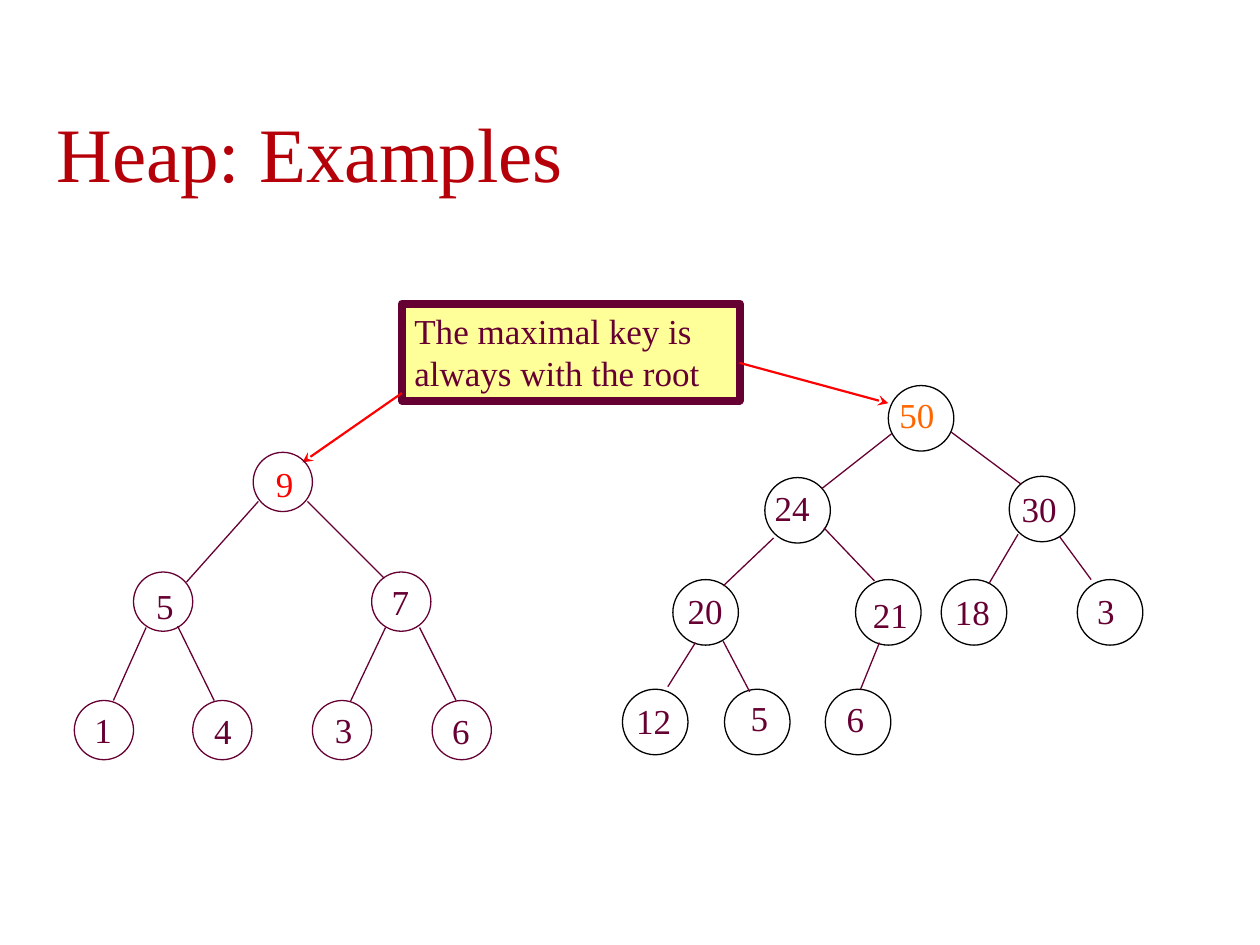
from dataclasses import dataclass

import pptx
import pptx.dml.color
import pptx.enum.shapes
import pptx.enum.text
import pptx.oxml
import pptx.oxml.ns
import pptx.util

PX = 9144
ALIGN = pptx.enum.text.PP_ALIGN
SHAPE = pptx.enum.shapes.MSO_SHAPE


@dataclass(frozen=True)
class Theme:
    """Colours, font and sizes of the slide."""
    font: str = "Times New Roman"
    title: str = "B60009"
    ink: str = "660033"
    note: str = "FFFF99"
    red: str = "FF0000"
    orange: str = "FF6600"
    black: str = "000000"
    title_pt: float = 44
    body_pt: float = 20
    thin_pt: float = 0.75
    arrow_pt: float = 1.25
    frame_pt: float = 4.5


THEME = Theme()

LEFT_NODES = [
    (142, 0, "9", 8, 3, 55, THEME.red),
    (47, 95, "5", 8, 5, 55, THEME.ink),
    (236, 95, "7", 6, 2, 55, THEME.ink),
    (0, 197, "1", 6, 1, 55, THEME.ink),
    (94, 197, "4", 7, 2, 55, THEME.ink),
    (189, 197, "3", 8, 1, 55, THEME.ink),
    (284, 197, "6", 6, 2, 55, THEME.ink),
]
LEFT_EDGES = [
    (146, 39, 89, 103), (185, 39, 246, 100),
    (57, 139, 31, 197), (82, 138, 111, 197),
    (247, 139, 219, 198), (274, 139, 303, 197),
]
RIGHT_NODES = [
    (211, 0, "50", -1, 1, 65, THEME.orange),
    (113, 73, "24", -2, 2, 76, THEME.ink),
    (307, 72, "30", 0, 4, 88, THEME.ink),
    (40, 154, "20", 2, 3, 63, THEME.ink),
    (185, 154, "21", 4, 6, 71, THEME.ink),
    (253, 154, "18", 1, 4, 64, THEME.ink),
    (361, 154, "3", 6, 3, 58, THEME.ink),
    (0, 241, "12", 1, 3, 55, THEME.ink),
    (81, 241, "5", 11, 1, 52, THEME.ink),
    (161, 241, "6", 7, 2, 31, THEME.ink),
]
RIGHT_EDGES = [
    (214, 38, 158, 82), (261, 37, 316, 78),
    (120, 121, 80, 159), (160, 113, 200, 155),
    (314, 118, 291, 157), (347, 120, 372, 154),
    (58, 204, 36, 239), (80, 203, 101, 243), (204, 204, 189, 241),
]


def emu(*lengths):
    """Turn px lengths into EMU."""
    return [pptx.util.Emu(n * PX) for n in lengths]


def rgb(value):
    """Turn a hex string into a colour."""
    return pptx.dml.color.RGBColor.from_string(value)


def write(sp, text, size, color, align=ALIGN.LEFT, anchor=pptx.enum.text.MSO_ANCHOR.TOP):
    """Set the text of a shape in the theme font."""
    tf = sp.text_frame
    tf.word_wrap = True
    tf.vertical_anchor = anchor
    tf.text = text
    p = tf.paragraphs[0]
    p.alignment = align
    r = p.runs[0]
    r.font.name = THEME.font
    r.font.size = pptx.util.Pt(size)
    r.font.color.rgb = rgb(color)


def add_outline(s, kind, box, color, width, fill=None):
    """Add a preset shape with an outline and an optional fill."""
    sp = s.shapes.add_shape(kind, *emu(*box))
    sp.shadow.inherit = False
    if fill:
        sp.fill.solid()
        sp.fill.fore_color.rgb = rgb(fill)
    else:
        sp.fill.background()
    sp.line.color.rgb = rgb(color)
    sp.line.width = pptx.util.Pt(width)
    return sp


def add_line(s, ends, color, width, arrow=False):
    """Add a straight line, with a stealth arrowhead if asked."""
    cx = s.shapes.add_connector(pptx.enum.shapes.MSO_CONNECTOR.STRAIGHT, *emu(*ends))
    cx.line.color.rgb = rgb(color)
    cx.line.width = pptx.util.Pt(width)
    if arrow:
        tail = pptx.oxml.parse_xml(f'<a:tailEnd {pptx.oxml.ns.nsdecls("a")} type="stealth"/>')
        cx.line._get_or_add_ln().append(tail)
    effects = pptx.oxml.parse_xml(f'<a:effectLst {pptx.oxml.ns.nsdecls("a")}/>')
    cx._element.spPr.append(effects)


def add_title(s, box):
    """Place the slide title in its box."""
    sp = s.shapes.add_textbox(*emu(*box))
    write(sp, "Heap: Examples", THEME.title_pt, THEME.title,
          anchor=pptx.enum.text.MSO_ANCHOR.BOTTOM)


def add_callout(s, box):
    """Place the note in its box, with an arrow to each root."""
    x, y, w, h = box
    sp = add_outline(s, SHAPE.RECTANGLE, box, THEME.ink, THEME.frame_pt, THEME.note)
    write(sp, "The maximal key is always with the root", THEME.body_pt, THEME.ink)
    for ends in ((x, y + 71, x - 79, y + 126), (x + w, y + 47, x + w + 118, y + 79)):
        add_line(s, ends, THEME.red, THEME.arrow_pt, arrow=True)


def add_tree(s, origin, nodes, edges, diameter, outline, label_h, align):
    """Place a heap with its nodes, edges and keys relative to its origin."""
    left, top = origin
    for x, y, *_ in nodes:
        add_outline(s, SHAPE.OVAL, (left + x, top + y, diameter, diameter),
                    outline, THEME.thin_pt)
    for x1, y1, x2, y2 in edges:
        add_line(s, (left + x1, top + y1, left + x2, top + y2), THEME.ink, THEME.thin_pt)
    for x, y, key, dx, dy, w, color in nodes:
        sp = s.shapes.add_textbox(*emu(left + x + dx, top + y + dy, w, label_h))
        write(sp, key, THEME.body_pt, color, align)


def main():
    """Build and save the slide."""
    prs = pptx.Presentation()
    prs.slide_width, prs.slide_height = emu(1000, 750)
    s = prs.slides.add_slide(prs.slide_layouts[6])
    add_title(s, (35, 79, 945, 83))
    add_callout(s, (319, 241, 268, 77))
    add_tree(s, (59, 359), LEFT_NODES, LEFT_EDGES, 47, THEME.ink, 44, ALIGN.LEFT)
    add_tree(s, (494, 306), RIGHT_NODES, RIGHT_EDGES, 52, THEME.black, 48, ALIGN.JUSTIFY)
    prs.save("out.pptx")


if __name__ == "__main__":
    main()
